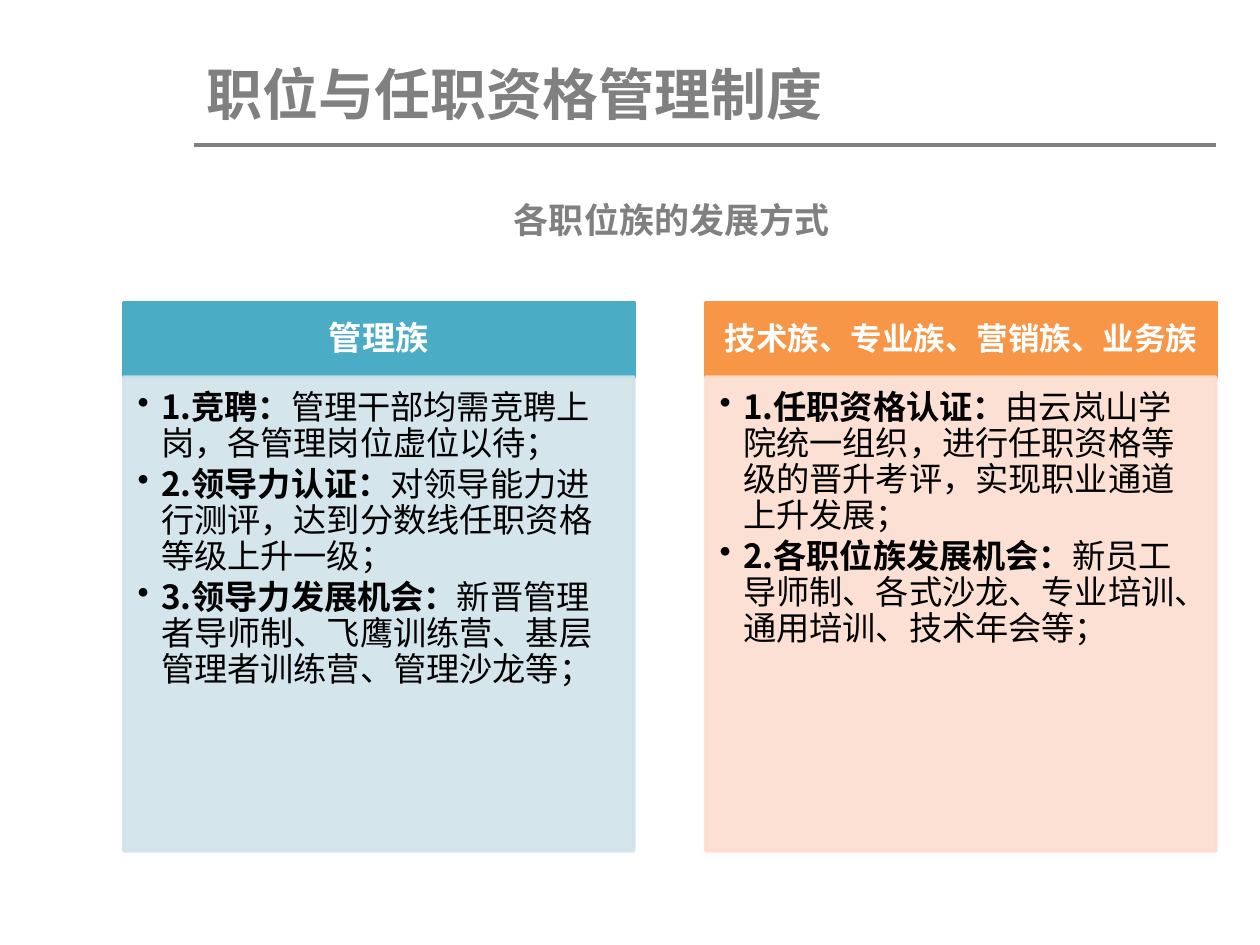
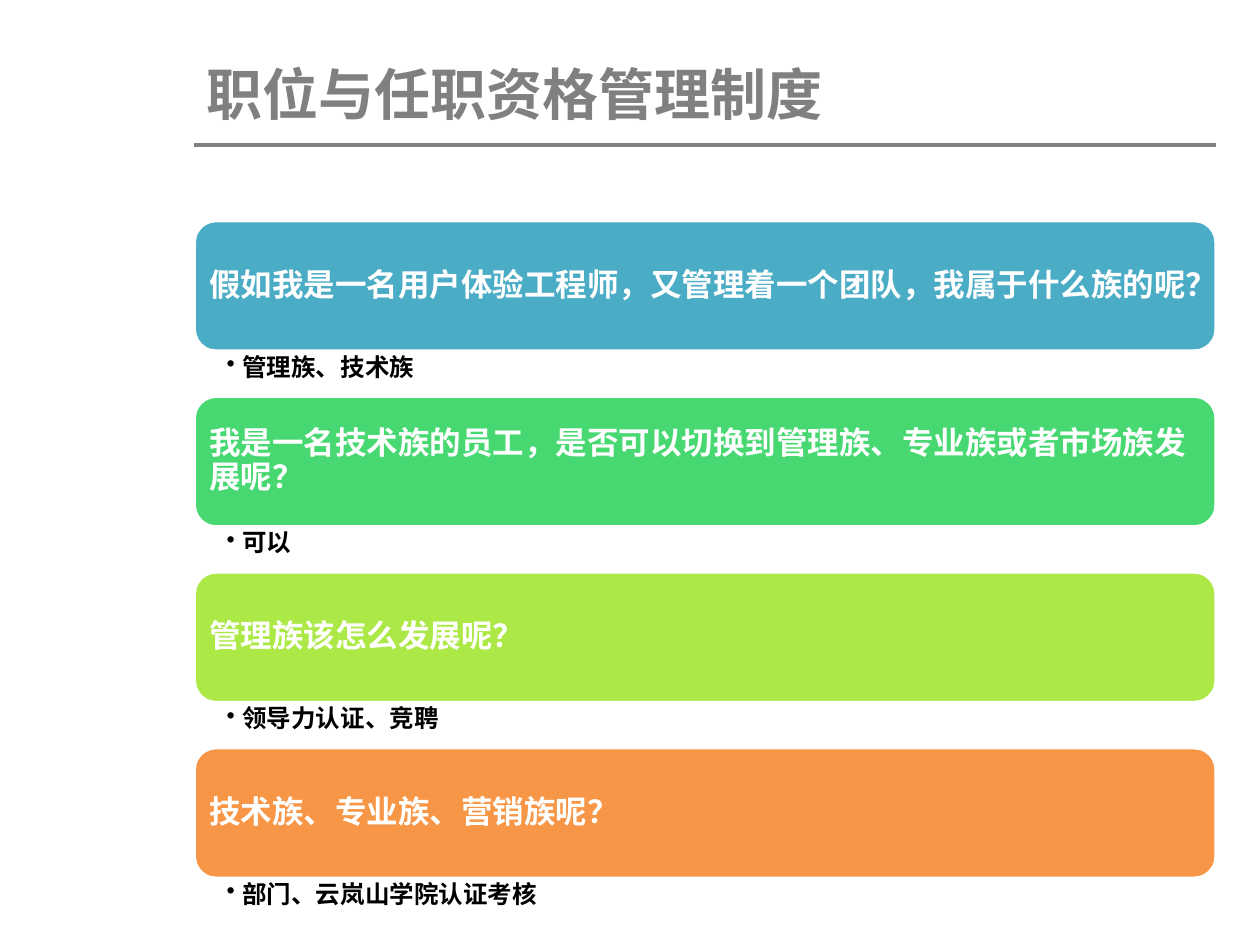
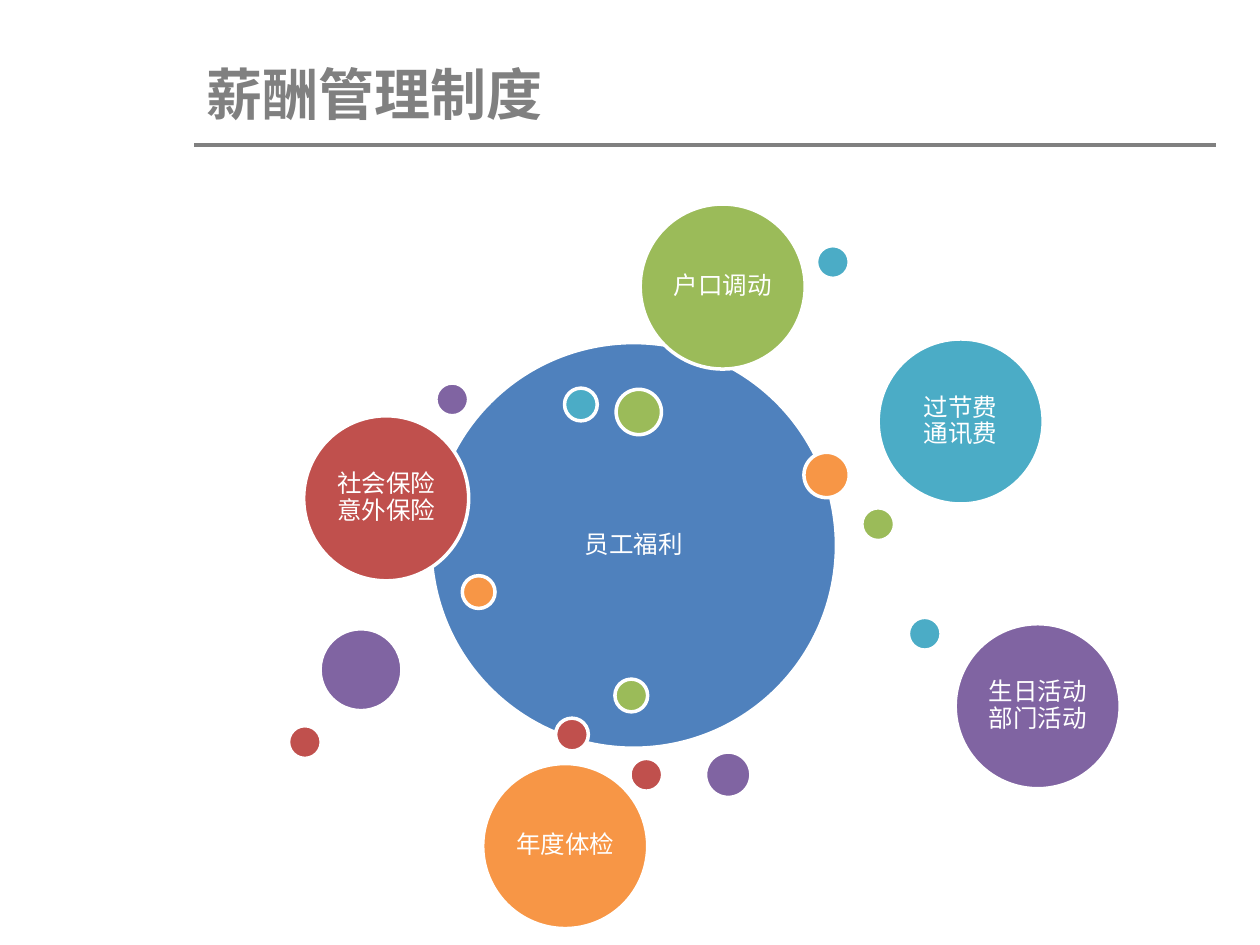
from lxml import etree
from pptx import Presentation
from pptx import util as u
from pptx.dml.color import RGBColor
from pptx.enum import shapes, text
from pptx.oxml import ns

Pt = u.Pt
FONT = "Noto Sans CJK SC"
GREY = RGBColor(0x80, 0x80, 0x80)
WHITE = RGBColor(0xFF, 0xFF, 0xFF)
BLACK = RGBColor(0x00, 0x00, 0x00)
TEAL = RGBColor(0x4B, 0xAC, 0xC6)
ORANGE = RGBColor(0xF7, 0x96, 0x46)
PALE_TEAL = RGBColor(0xD0, 0xE3, 0xEA)
PALE_ORANGE = RGBColor(0xFC, 0xDD, 0xCF)
MINT = RGBColor(0x47, 0xD8, 0x72)
LIME = RGBColor(0xAC, 0xE9, 0x46)
BLUE = RGBColor(0x4F, 0x81, 0xBD)
RED = RGBColor(0xC0, 0x50, 0x4D)
GREEN = RGBColor(0x9B, 0xBB, 0x59)
PURPLE = RGBColor(0x80, 0x64, 0xA2)

LEFT, WIDTH = 111, 584
TOP, MIDDLE = text.MSO_ANCHOR.TOP, text.MSO_ANCHOR.MIDDLE
START, CENTER = text.PP_ALIGN.LEFT, text.PP_ALIGN.CENTER


def add_block(page, kind, place, fill, line):
    """Add a filled preset shape with a 2 pt outline."""
    block = page.shapes.add_shape(kind, *[Pt(n) for n in place])
    block.shadow.inherit = False
    block.fill.solid()
    block.fill.fore_color.rgb = fill
    block.line.color.rgb = line
    block.line.width = Pt(2)
    return block


def write(box, lines, size, color, bold=True, align=START, anchor=MIDDLE,
          insets=(7.2, 3.6, 7.2, 3.6), spacing=None, after=0, hang=0):
    """Fill a shape with lines; a line is a string or a (bold lead, plain rest) pair."""
    frame = box.text_frame
    frame.word_wrap = True
    frame.vertical_anchor = anchor
    (frame.margin_left, frame.margin_top,
     frame.margin_right, frame.margin_bottom) = [Pt(n) for n in insets]
    for index, line in enumerate(lines):
        para = frame.add_paragraph() if index else frame.paragraphs[0]
        para.alignment = align
        para.line_spacing = spacing
        para.space_after = Pt(round(size * after, 2))
        para.font.name = FONT
        para.font.size = Pt(size)
        para.font.color.rgb = color
        if isinstance(line, str):
            para.font.bold = bold
            para.add_run().text = line
        else:
            for part, heavy in zip(line, (True, False)):
                span = para.add_run()
                span.text = part
                span.font.bold = heavy
        # East Asian typeface and hanging bullet
        props = para._p.get_or_add_pPr()
        defaults = props.find(ns.qn("a:defRPr"))
        etree.SubElement(defaults, ns.qn("a:ea"), typeface=FONT)
        if hang:
            props.set("marL", str(Pt(hang)))
            props.set("indent", str(-Pt(hang)))
            bullet = etree.Element(ns.qn("a:buChar"), char="•")
            defaults.addprevious(bullet)


deck = Presentation()
deck.slide_width, deck.slide_height = Pt(720), Pt(540)

# Pages with the shared title and rule
pages = []
for heading in ("职位与任职资格管理制度", "职位与任职资格管理制度", "薪酬管理制度"):
    page = deck.slides.add_slide(deck.slide_layouts[6])
    title = page.shapes.add_textbox(Pt(LEFT), Pt(30.2), Pt(WIDTH), Pt(46))
    write(title, [heading], 32, GREY, anchor=TOP)
    rule = page.shapes.add_connector(shapes.MSO_CONNECTOR.STRAIGHT,
                                     Pt(LEFT), Pt(82.8), Pt(LEFT + WIDTH), Pt(82.8))
    rule.line.color.rgb = GREY
    rule.line.width = Pt(2.25)
    etree.SubElement(rule._element.spPr, ns.qn("a:effectLst"))
    pages.append(page)
growth_page, question_page, benefit_page = pages

# Slide 1: how each job family develops
subtitle = growth_page.shapes.add_textbox(Pt(286.6), Pt(105.8), Pt(204), Pt(39.6))
write(subtitle, ["各职位族的发展方式"], 20, GREY)

families = [
    (70.6, "管理族", 19, TEAL, PALE_TEAL, [
        ("1.竞聘：", "管理干部均需竞聘上岗，各管理岗位虚位以待；"),
        ("2.领导力认证：", "对领导能力进行测评，达到分数线任职资格等级上升一级；"),
        ("3.领导力发展机会：", "新晋管理者导师制、飞鹰训练营、基层管理者训练营、管理沙龙等；"),
    ]),
    (403.2, "技术族、专业族、营销族、业务族", 18, ORANGE, PALE_ORANGE, [
        ("1.任职资格认证：", "由云岚山学院统一组织，进行任职资格等级的晋升考评，实现职业通道上升发展；"),
        ("2.各职位族发展机会：", "新员工导师制、各式沙龙、专业培训、通用培训、技术年会等；"),
    ]),
]
for left, family, size, strong, pale, ways in families:
    header = add_block(growth_page, shapes.MSO_SHAPE.RECTANGLE,
                       (left, 172.8, 291.6, 43), strong, strong)
    write(header, [family], size, WHITE, align=CENTER,
          insets=(10, 5.8, 10, 5.8), spacing=0.9, after=0.35)
    panel = add_block(growth_page, shapes.MSO_SHAPE.RECTANGLE,
                      (left, 215.5, 291.6, 270.7), pale, pale)
    for tint in panel._element.spPr.iter(ns.qn("a:srgbClr")):
        etree.SubElement(tint, ns.qn("a:alpha"), val="90000")
    write(panel, ways, 19, BLACK, anchor=TOP, insets=(8, 8, 10.7, 12),
          spacing=0.9, after=0.15, hang=13.5)

# Slide 2: questions and answers
questions = [
    ("假如我是一名用户体验工程师，又管理着一个团队，我属于什么族的呢？", "管理族、技术族", TEAL),
    ("我是一名技术族的员工，是否可以切换到管理族、专业族或者市场族发展呢？", "可以", MINT),
    ("管理族该怎么发展呢？", "领导力认证、竞聘", LIME),
    ("技术族、专业族、营销族呢？", "部门、云岚山学院认证考核", ORANGE),
]
CARD_HEIGHT, ANSWER_HEIGHT = 74.7, 25.7
for row, (question, answer, color) in enumerate(questions):
    top = 126 + row * (CARD_HEIGHT + ANSWER_HEIGHT)
    card = add_block(question_page, shapes.MSO_SHAPE.ROUNDED_RECTANGLE,
                     (LEFT, top, WIDTH, CARD_HEIGHT), color, WHITE)
    write(card, [question], 18, WHITE, insets=(5, 5, 5, 5), spacing=0.9, after=0.35)
    reply = question_page.shapes.add_textbox(Pt(LEFT), Pt(top + CARD_HEIGHT),
                                             Pt(WIDTH), Pt(ANSWER_HEIGHT))
    write(reply, [answer], 14, BLACK, anchor=TOP, insets=(18.5, 2.2, 10, 2.2),
          spacing=0.9, after=0.2, hang=9)

# Slide 3: benefits around a hub, from back to front
DOT, BEAD, BALL, BUBBLE, HUB = 18.7, 25.9, 46.8, 94.3, 231.8
circles = [
    (246.2, 195.8, HUB, BLUE, "员工福利"),
    (317.5, 410.4, DOT, RED, ""),
    (492.5, 290.2, DOT, GREEN, ""),
    (403.2, 429.8, BEAD, PURPLE, ""),
    (322.6, 221.8, DOT, TEAL, ""),
    (264.2, 329, DOT, ORANGE, ""),
    (173.5, 237.6, BUBBLE, RED, "社会保险意外保险"),
    (352.1, 222.5, BEAD, GREEN, ""),
    (182.9, 359.3, BALL, PURPLE, ""),
    (501.8, 193.7, BUBBLE, TEAL, "过节费 通讯费"),
    (459.4, 258.5, BEAD, ORANGE, ""),
    (164.9, 414.7, DOT, RED, ""),
    (351.4, 388.1, DOT, GREEN, ""),
    (545.8, 356.4, BUBBLE, PURPLE, "生日活动部门活动"),
    (519.1, 352.8, DOT, TEAL, ""),
    (275.8, 436.3, BUBBLE, ORANGE, "年度体检"),
    (360, 433.4, DOT, RED, ""),
    (365.8, 116.6, BUBBLE, GREEN, "户口调动"),
    (249.1, 218.9, DOT, PURPLE, ""),
    (466.6, 140.4, DOT, TEAL, ""),
]
for left, top, size, color, benefit in circles:
    circle = add_block(benefit_page, shapes.MSO_SHAPE.OVAL,
                       (left, top, size, size), color, WHITE)
    if benefit:
        write(circle, [benefit], 14, WHITE, bold=False, align=CENTER,
              insets=(4.3, 4.3, 4.3, 4.3), spacing=0.9, after=0.35)

deck.save("out.pptx")
